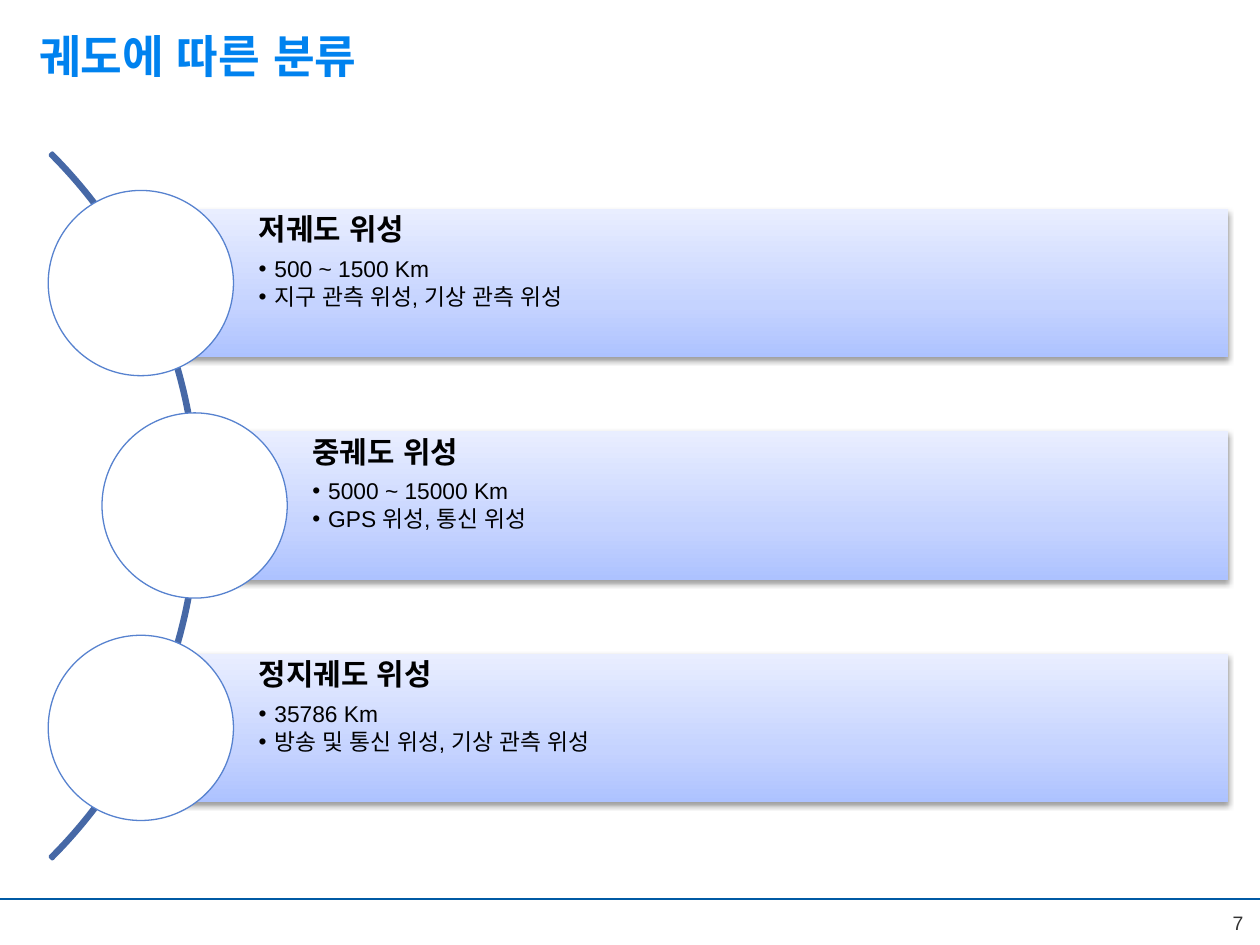
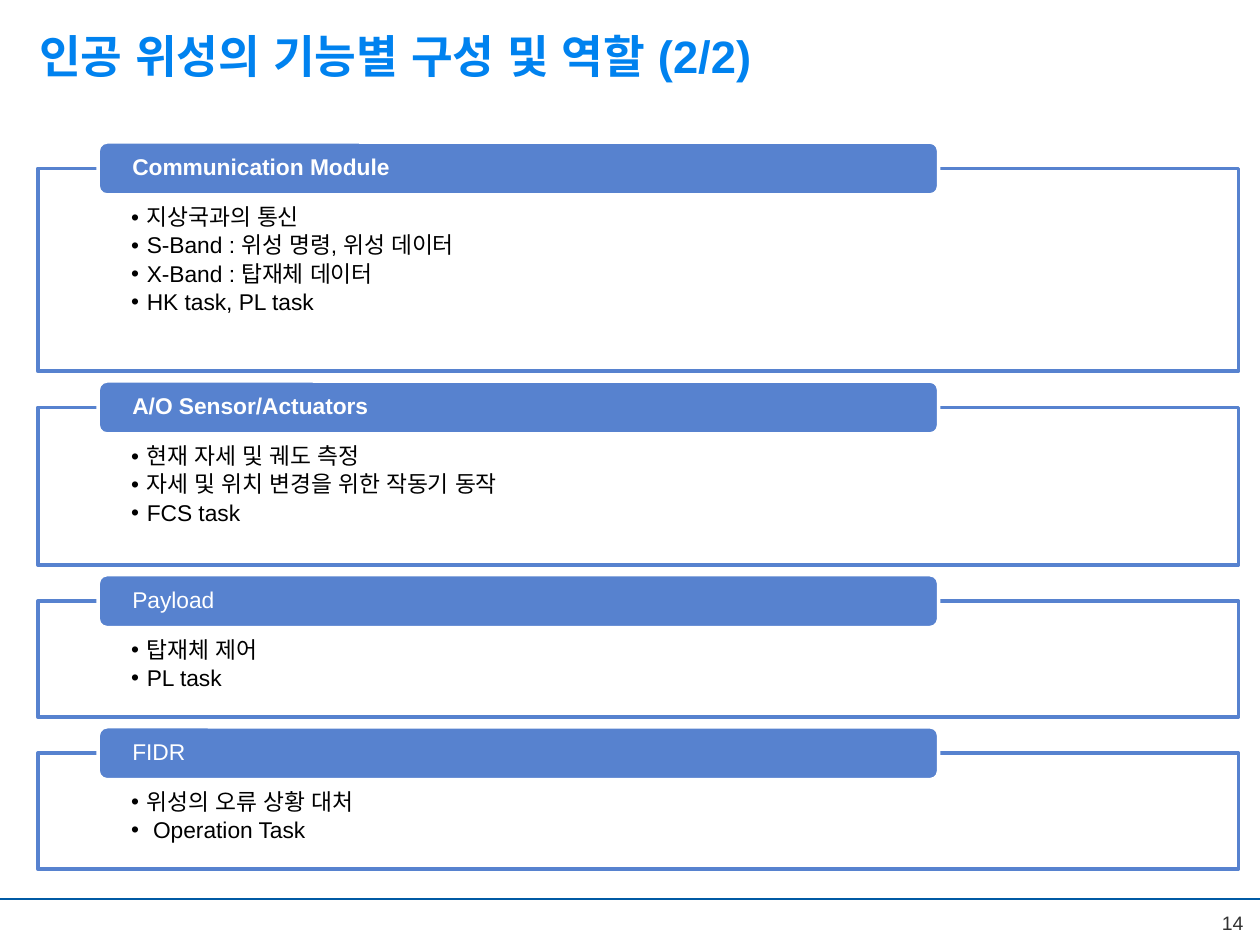
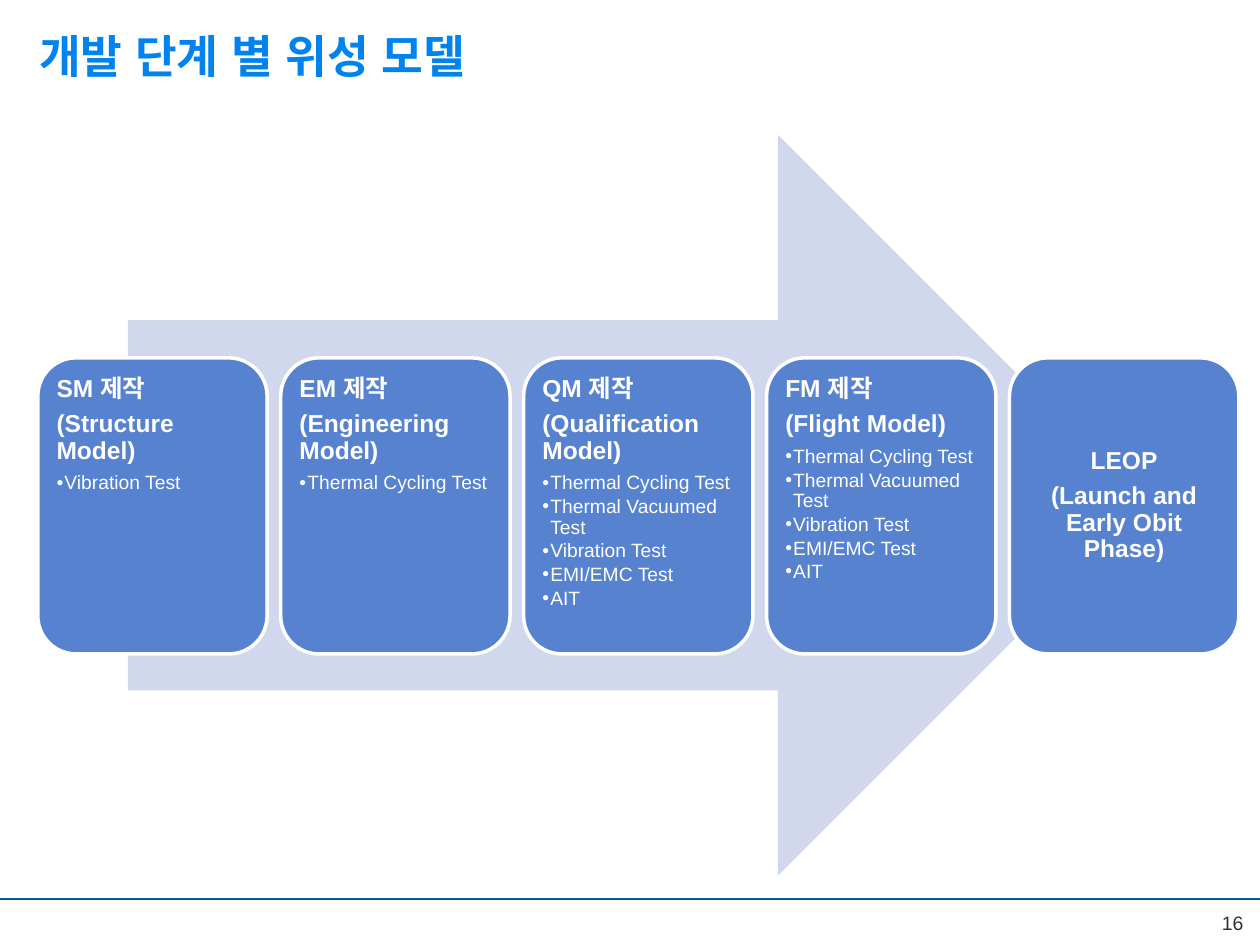
from copy import deepcopy

from lxml.etree import SubElement
from pptx import Presentation
from pptx.dml.color import RGBColor
from pptx.enum.shapes import MSO_CONNECTOR, MSO_SHAPE
from pptx.enum.text import MSO_ANCHOR, MSO_AUTO_SIZE, PP_ALIGN
from pptx.oxml.ns import qn
from pptx.util import Inches, Pt

WHITE = RGBColor(0xFF, 0xFF, 0xFF)
BLACK = RGBColor(0, 0, 0)
GREY = RGBColor(0x33, 0x33, 0x33)
AZURE = RGBColor(0x00, 0x82, 0xEF)
NAVY = RGBColor(0x00, 0x5A, 0xA4)
BLUE = RGBColor(0x57, 0x82, 0xCF)
STEEL = RGBColor(0x46, 0x68, 0xA6)
PALE = RGBColor(0xD1, 0xD8, 0xED)
FADE = [(0, RGBColor(0xAD, 0xC2, 0xFF)),
        (0.35, RGBColor(0xC5, 0xD3, 0xFF)),
        (1, RGBColor(0xE9, 0xEE, 0xFF))]

FONT = "Arial"
TITLE_ONLY = 5
COLS, ROWS = 100, 75
SIDES = ("margin_left", "margin_top", "margin_right", "margin_bottom")


def dress(item, **values):
    """Set every given format value on an item."""
    for name, value in values.items():
        setattr(item, name, value)


class Deck:
    """Holds the shared style and the current slide, on a 100 by 75 grid."""

    def __init__(self):
        """Open an empty deck and size its grid."""
        self.show = Presentation()
        dress(self.show, slide_width=Inches(10), slide_height=Inches(7.5))
        self.cell = self.show.slide_width / COLS
        self.layout = self.show.slide_layouts[TITLE_ONLY]
        self.slide = None

    def units(self, *counts):
        """Turn counts of grid cells into lengths."""
        return [round(count * self.cell) for count in counts]

    def page(self, title, number):
        """Start a slide with its title and page number."""
        first = self.slide is None
        self.slide = self.show.slides.add_slide(self.layout)
        if first:
            self.rule()
        head = self.slide.shapes.title
        left, top, wide, high = self.units(3.1, 2.2, 87.5, 6.2)
        dress(head, left=left, top=top, width=wide, height=high)
        self.frame(head, (0, 0, 0.4, 0))
        self.line(head, title, 25.9, AZURE, bold=True)
        foot = self.slide.shapes.add_textbox(*self.units(91.7, 71.7, 7, 3.1))
        self.frame(foot, (0, 0, 0, 0), MSO_ANCHOR.MIDDLE)
        self.line(foot, str(number), 11.1, GREY, align=PP_ALIGN.RIGHT)

    def rule(self):
        """Draw the footer rule and move it to the shared layout."""
        rule = self.slide.shapes.add_connector(
            MSO_CONNECTOR.STRAIGHT, *self.units(0, 71.35, COLS, 71.35))
        rule.line.color.rgb = NAVY
        rule.line.width = Pt(1)
        SubElement(rule._element.spPr, qn("a:effectLst"))
        rule._element.remove(rule._element.find(qn("p:style")))
        self.layout.shapes._spTree.append(rule._element)

    def shape(self, kind, box, fill=None, edge=None, weight=2):
        """Add a preset shape with a plain fill and outline, or neither."""
        shape = self.slide.shapes.add_shape(kind, *self.units(*box))
        shape.shadow.inherit = False
        if fill is None:
            shape.fill.background()
        else:
            shape.fill.solid()
            shape.fill.fore_color.rgb = fill
        if edge is None:
            shape.line.fill.background()
        else:
            shape.line.color.rgb = edge
            shape.line.width = Pt(weight)
        return shape

    def bar(self, box):
        """Add a bar with an upward fade and a soft shadow."""
        bar = self.shape(MSO_SHAPE.RECTANGLE, box)
        bar.fill.gradient()
        bar.fill.gradient_angle = 90
        stops = bar._element.spPr.find(".//" + qn("a:gsLst"))
        stops.append(deepcopy(stops[0]))
        for stop, (place, tint) in zip(bar.fill.gradient_stops, FADE):
            stop.position = place
            stop.color.rgb = tint
        effects = bar._element.spPr.find(qn("a:effectLst"))
        shade = SubElement(effects, qn("a:outerShdw"), blurRad="40000",
                           dist="20000", dir="5400000", rotWithShape="0")
        black = SubElement(shade, qn("a:srgbClr"), val=str(BLACK))
        SubElement(black, qn("a:alpha"), val="38000")
        return bar

    def frame(self, shape, inset, anchor=MSO_ANCHOR.TOP):
        """Set wrap, anchor and insets of a shape's text."""
        dress(shape.text_frame, word_wrap=True, vertical_anchor=anchor,
              auto_size=MSO_AUTO_SIZE.NONE,
              **dict(zip(SIDES, self.units(*inset))))

    def line(self, shape, text, size, tint, bold=False, after=0, space=1,
             align=PP_ALIGN.LEFT):
        """Add one paragraph, with the space after as a share of its size."""
        body = shape.text_frame
        para = body.paragraphs[0]
        if para.runs:
            para = body.add_paragraph()
        para.text = text
        dress(para, alignment=align, line_spacing=space,
              space_before=Pt(0), space_after=Pt(size * after))
        for run in para.runs:
            dress(run.font, name=FONT, size=Pt(size), bold=bold)
            run.font.color.rgb = tint
            SubElement(run._r.get_or_add_rPr(), qn("a:ea"), typeface=FONT)
        return para

    def heads(self, shape, texts, size, tint, bold=True, align=PP_ALIGN.LEFT):
        """Add heading lines to a shape."""
        for text in texts:
            self.line(shape, text, size, tint, bold, 0.35, 0.9, align)

    def points(self, shape, texts, size, tint, indent=1.25):
        """Add bulleted lines to a shape."""
        depth, = self.units(indent)
        for text in texts:
            para = self.line(shape, text, size, tint, after=0.15, space=0.9)
            para.level = 1
            props = para._p.get_or_add_pPr()
            props.set("marL", str(depth))
            props.set("indent", str(-depth))
            SubElement(props, qn("a:buFont"), typeface=FONT)
            SubElement(props, qn("a:buChar"), char="•")

    def orbit(self, left, top, title, facts):
        """Add a bar of facts with a disc over its left end."""
        size = 14.7
        start = left + size / 2
        bar = self.bar((start, top + 1.45, 97.5 - start, 11.8))
        self.frame(bar, (9.35, 0.5, 0.5, 0.5))
        self.heads(bar, [title], 17, BLACK)
        self.points(bar, facts, 13, BLACK)
        self.shape(MSO_SHAPE.OVAL, (left, top, size, size), WHITE, BLUE, 0.75)

    def panel(self, top, high, title, bold, tasks):
        """Add an outlined list with a label across its top edge."""
        panel = self.shape(MSO_SHAPE.RECTANGLE, (3, top, 95.3, high),
                           WHITE, BLUE)
        tint = panel._element.spPr.find(
            qn("a:solidFill") + "/" + qn("a:srgbClr"))
        SubElement(tint, qn("a:alpha"), val="90000")
        self.frame(panel, (7.4, 3, 7.4, 1))
        self.points(panel, tasks, 13, BLACK)
        label = self.shape(MSO_SHAPE.ROUNDED_RECTANGLE,
                           (7.8, top - 2.1, 66.7, 4.2), BLUE, WHITE)
        self.frame(label, (2.5, 0, 2.5, 0), MSO_ANCHOR.MIDDLE)
        self.heads(label, [title], 13, WHITE, bold)

    def stage(self, left, titles, tests):
        """Add a stage card, centred when it has no tests."""
        card = self.shape(MSO_SHAPE.ROUNDED_RECTANGLE,
                          (left, 28.4, 18.2, 23.5), BLUE, WHITE)
        anchor, align = ((MSO_ANCHOR.TOP, PP_ALIGN.LEFT) if tests
                         else (MSO_ANCHOR.MIDDLE, PP_ALIGN.CENTER))
        self.frame(card, (0.6,) * 4, anchor)
        self.heads(card, titles, 14, WHITE, align=align)
        self.points(card, tests, 11, WHITE, 0.63)


ORBITS = [
    (3.83, "저궤도 위성", ["500 ~ 1500 Km", "지구 관측 위성, 기상 관측 위성"]),
    (8.1, "중궤도 위성", ["5000 ~ 15000 Km", "GPS 위성, 통신 위성"]),
    (3.83, "정지궤도 위성", ["35786 Km", "방송 및 통신 위성, 기상 관측 위성"]),
]
PANELS = [
    (16.1, "Communication Module", True,
     ["지상국과의 통신", "S-Band : 위성 명령, 위성 데이터",
      "X-Band : 탑재체 데이터", "HK task, PL task"]),
    (12.5, "A/O Sensor/Actuators", True,
     ["현재 자세 및 궤도 측정", "자세 및 위치 변경을 위한 작동기 동작",
      "FCS task"]),
    (9.2, "Payload", False, ["탑재체 제어", "PL task"]),
    (9.2, "FIDR", False, ["위성의 오류 상황 대처", " Operation Task"]),
]
TESTS = ["Thermal Cycling Test", "Thermal Vacuumed Test", "Vibration Test",
         "EMI/EMC Test", "AIT"]
STAGES = [
    (["SM 제작", "(Structure \vModel)"], ["Vibration Test"]),
    (["EM 제작", "(Engineering \vModel)"], TESTS[:1]),
    (["QM 제작", "(Qualification \vModel)"], TESTS),
    (["FM 제작", "(Flight Model)"], TESTS),
    (["LEOP", "(Launch and Early Obit Phase)"], []),
]

deck = Deck()

deck.page("궤도에 따른 분류", 7)
arc = deck.shape(MSO_SHAPE.BLOCK_ARC, (-63.45, 0.55, 79.2, 79.2), edge=STEEL)
for spot, value in enumerate((189, 27, 0.003)):
    arc.adjustments[spot] = value
for step, (left, title, facts) in enumerate(ORBITS):
    deck.orbit(left, 15.12 + step * 17.65, title, facts)

deck.page("인공 위성의 기능별 구성 및 역할 (2/2)", 14)
top = 13.37
for high, title, bold, tasks in PANELS:
    deck.panel(top, high, title, bold, tasks)
    top += high + 2.87

deck.page("개발 단계 별 위성 모델", 16)
deck.shape(MSO_SHAPE.RIGHT_ARROW, (10.15, 10.7, 81, 58.8), PALE)
for step, (titles, tests) in enumerate(STAGES):
    deck.stage(3 + step * 19.28, titles, tests)

deck.show.save("out.pptx")
